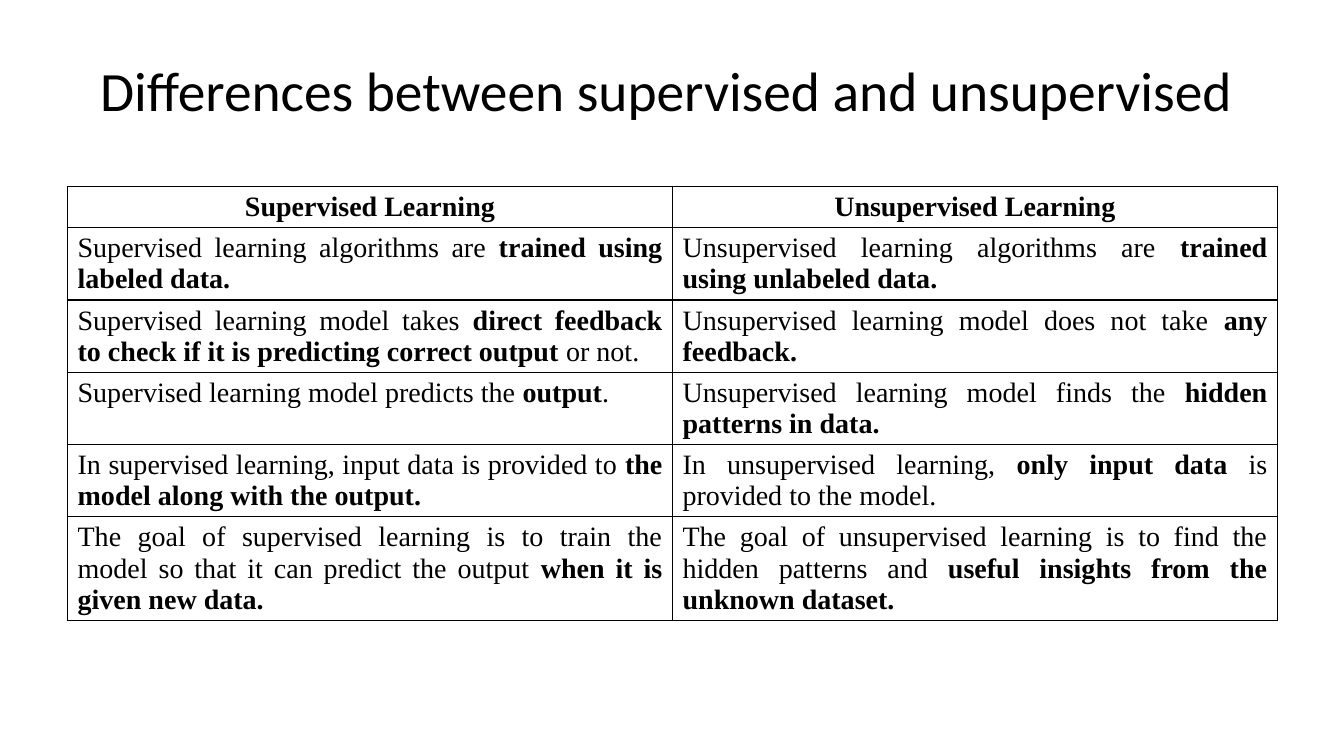
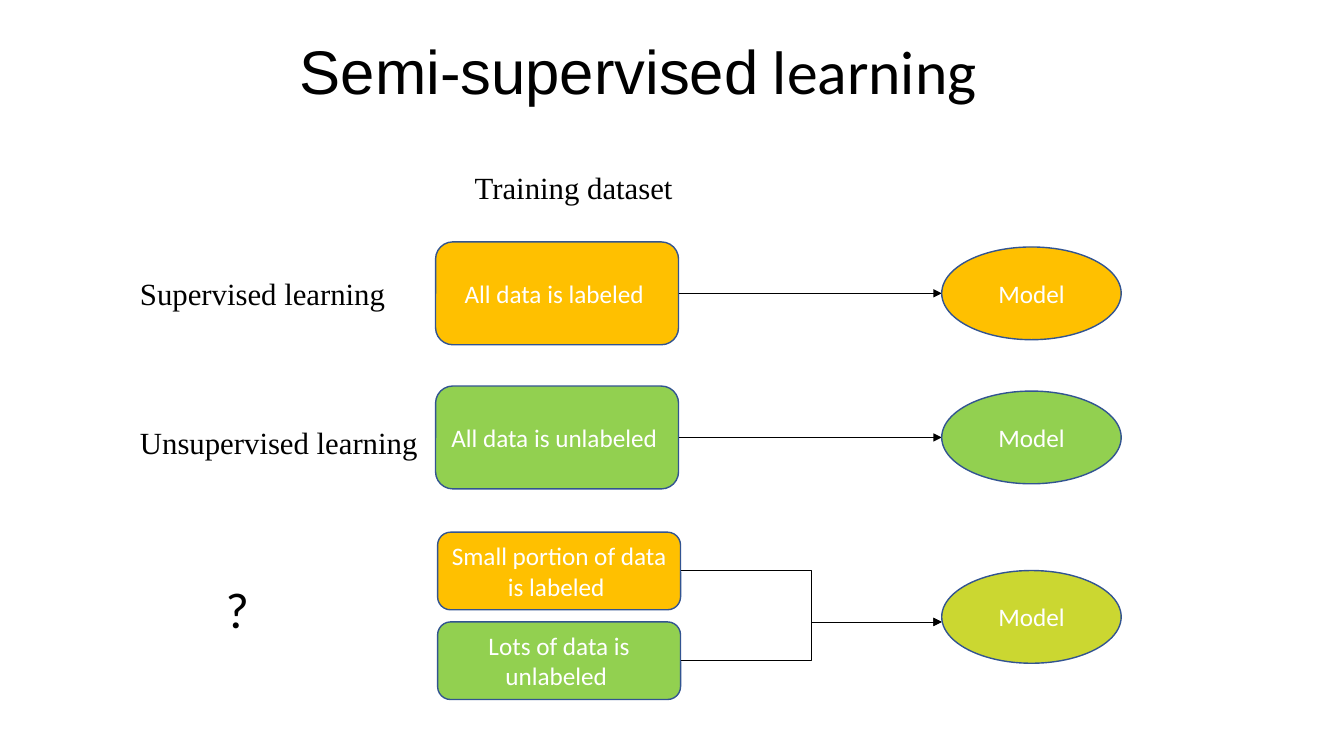
from dataclasses import dataclass

import lxml.etree
import pptx
import pptx.dml.color
import pptx.enum.shapes
import pptx.enum.text
import pptx.oxml.ns
import pptx.presentation
import pptx.shapes.autoshape
import pptx.shapes.connector
import pptx.slide
import pptx.table
import pptx.text.text
import pptx.util

EMU_PER_PX = 9144
COLORS = {
    "text": "000000",
    "light": "FFFFFF",
    "outline": "325491",
    "labeled": "FFC000",
    "unlabeled": "92D050",
    "mixed": "CBD731",
}
SANS = "Calibri"
SERIF = "Times New Roman"
TITLE_ONLY_LAYOUT = 5
ALIGN = pptx.enum.text.PP_ALIGN
SHAPE = pptx.enum.shapes.MSO_SHAPE
CONNECTOR = pptx.enum.shapes.MSO_CONNECTOR
RIGHT_SIDE = 3

BOX_LEFT, BOX_WIDTH = 432, 241
MODEL_LEFT, MODEL_WIDTH, MODEL_HEIGHT = 934, 178, 92


@dataclass(frozen=True)
class Row:
    supervised: str
    unsupervised: str
    height: int


@dataclass(frozen=True)
class Node:
    text: str
    kind: pptx.enum.shapes.MSO_SHAPE
    color: str
    left: int
    top: int
    width: int
    height: int

    @property
    def middle(self) -> int:
        return self.top + self.height // 2


@dataclass(frozen=True)
class Label:
    text: str
    left: int
    top: int
    width: int
    height: int
    font: str = SERIF
    size: float = 22


COMPARISON = [
    Row("|Supervised Learning", "|Unsupervised Learning", 41),
    Row("Supervised learning algorithms are |trained using labeled data.",
        "Unsupervised learning algorithms are |trained using unlabeled data.", 71),
    Row("Supervised learning model takes |direct feedback to check if it is predicting correct output |or not.",
        "Unsupervised learning model does not take |any feedback.", 71),
    Row("Supervised learning model predicts the |output|.",
        "Unsupervised learning model finds the |hidden patterns in data.", 71),
    Row("In supervised learning, input data is provided to |the model along with the output.",
        "In unsupervised learning, |only input data |is provided to the model.", 71),
    Row("The goal of supervised learning is to train the model so that it can predict the output "
        "|when it is given new data.",
        "The goal of unsupervised learning is to find the hidden patterns and "
        "|useful insights from the unknown dataset.", 102),
]

LABELS = [
    Label("Supervised learning", 129, 268, 274, 47),
    Label("Unsupervised learning", 129, 415, 306, 47),
    Label("?", 214, 569, 44, 71, SANS, 36),
    Label("Training dataset", 461, 162, 219, 47),
]


def px(length: int) -> pptx.util.Emu:
    return pptx.util.Emu(length * EMU_PER_PX)


def rgb(name: str) -> pptx.dml.color.RGBColor:
    return pptx.dml.color.RGBColor.from_string(COLORS[name])


def write_text(frame: pptx.text.text.TextFrame, text: str, *, font: str = SANS,
               size: float = 18, color: str = "text", align: ALIGN = ALIGN.LEFT,
               marked_font: str | None = None, marked_bold: bool = False,
               line_spacing: float | None = None) -> None:
    paragraph = frame.paragraphs[0]
    paragraph.alignment = align
    if line_spacing:
        paragraph.line_spacing = line_spacing
    for index, part in enumerate(text.split("|")):
        if not part:
            continue
        marked = index % 2 == 1
        run = paragraph.add_run()
        run.text = part
        run.font.name = marked_font if marked and marked_font else font
        run.font.size = pptx.util.Pt(size)
        run.font.bold = marked and marked_bold
        run.font.color.rgb = rgb(color)


def add_titled_slide(presentation: pptx.presentation.Presentation, text: str, left: int,
                     top: int, height: int, size: float) -> pptx.slide.Slide:
    slide = presentation.slides.add_slide(presentation.slide_layouts[TITLE_ONLY_LAYOUT])
    title = slide.shapes.title
    title.left, title.top, title.width, title.height = map(px, (left, top, 1200, height))
    frame = title.text_frame
    frame.word_wrap = True
    frame.auto_size = pptx.enum.text.MSO_AUTO_SIZE.NONE
    frame.vertical_anchor = pptx.enum.text.MSO_ANCHOR.MIDDLE
    frame.margin_left = frame.margin_top = frame.margin_right = frame.margin_bottom = 0
    write_text(frame, text, size=size, align=ALIGN.CENTER, marked_font="Arial", line_spacing=0.9)
    return slide


def style_cell(cell: pptx.table._Cell) -> None:
    properties = cell._tc.get_or_add_tcPr()
    qn = pptx.oxml.ns.qn
    for side in ("a:lnL", "a:lnR", "a:lnT", "a:lnB"):
        border = lxml.etree.SubElement(properties, qn(side), w=str(pptx.util.Pt(1)))
        fill = lxml.etree.SubElement(border, qn("a:solidFill"))
        lxml.etree.SubElement(fill, qn("a:srgbClr"), val=COLORS["text"])
    cell.fill.background()


def add_comparison(slide: pptx.slide.Slide) -> None:
    height = sum(row.height for row in COMPARISON)
    table = slide.shapes.add_table(len(COMPARISON), 2, px(67), px(185), px(1200), px(height)).table
    table.first_row = table.horz_banding = False
    for index, row in enumerate(COMPARISON):
        table.rows[index].height = px(row.height)
        for column, text in enumerate((row.supervised, row.unsupervised)):
            cell = table.cell(index, column)
            style_cell(cell)
            write_text(cell.text_frame, text, font=SERIF, size=20, marked_bold=True,
                       align=ALIGN.JUSTIFY if index else ALIGN.CENTER)


def add_node(slide: pptx.slide.Slide, node: Node) -> pptx.shapes.autoshape.Shape:
    shape = slide.shapes.add_shape(node.kind, px(node.left), px(node.top),
                                   px(node.width), px(node.height))
    shape.shadow.inherit = False
    shape.fill.solid()
    shape.fill.fore_color.rgb = rgb(node.color)
    shape.line.color.rgb = rgb("outline")
    shape.line.width = pptx.util.Pt(1)
    write_text(shape.text_frame, node.text, color="light", align=ALIGN.CENTER)
    return shape


def add_label(slide: pptx.slide.Slide, label: Label) -> None:
    frame = slide.shapes.add_textbox(px(label.left), px(label.top),
                                     px(label.width), px(label.height)).text_frame
    frame.word_wrap = False
    frame.auto_size = pptx.enum.text.MSO_AUTO_SIZE.SHAPE_TO_FIT_TEXT
    write_text(frame, label.text, font=label.font, size=label.size)


def add_arrow(slide: pptx.slide.Slide, kind: CONNECTOR, source: Node,
              end_y: int) -> pptx.shapes.connector.Connector:
    connector = slide.shapes.add_connector(kind, px(source.left + source.width),
                                           px(source.middle), px(MODEL_LEFT), px(end_y))
    connector.line.color.rgb = rgb("text")
    connector.line.width = pptx.util.Pt(0.5)
    qn = pptx.oxml.ns.qn
    properties = connector.element.spPr
    lxml.etree.SubElement(properties.find(qn("a:ln")), qn("a:tailEnd"), type="triangle")
    lxml.etree.SubElement(properties, qn("a:effectLst"))
    return connector


def data_box(text: str, color: str, top: int, height: int, left: int = BOX_LEFT) -> Node:
    return Node(text, SHAPE.ROUNDED_RECTANGLE, color, left, top, BOX_WIDTH, height)


def model(color: str, top: int) -> Node:
    return Node("Model", SHAPE.OVAL, color, MODEL_LEFT, top, MODEL_WIDTH, MODEL_HEIGHT)


def add_learning_diagram(slide: pptx.slide.Slide) -> None:
    for label in LABELS:
        add_label(slide, label)

    for text, color, top in (("All data is labeled ", "labeled", 240),
                             ("All data is unlabeled ", "unlabeled", 383)):
        source = data_box(text, color, top, 102)
        target = model(color, source.middle - MODEL_HEIGHT // 2)
        box = add_node(slide, source)
        arrow = add_arrow(slide, CONNECTOR.STRAIGHT, source, target.middle)
        arrow.begin_connect(box, RIGHT_SIDE)
        add_node(slide, target)

    for text, color, top in (("Small portion of data is labeled ", "labeled", 528),
                             ("Lots of data is unlabeled ", "unlabeled", 617)):
        source = data_box(text, color, top, 77, BOX_LEFT + 2)
        add_node(slide, source)
        add_arrow(slide, CONNECTOR.ELBOW, source, 617)
    add_node(slide, model("mixed", 566))


def main() -> None:
    presentation = pptx.Presentation()
    presentation.slide_width, presentation.slide_height = px(1333), px(750)
    add_comparison(add_titled_slide(
        presentation, "Differences between supervised and unsupervised ", 67, 30, 125, 39.6))
    add_learning_diagram(add_titled_slide(
        presentation, "|Semi-supervised| learning ", 40, 22, 103, 44))
    presentation.save("out.pptx")


if __name__ == "__main__":
    main()
